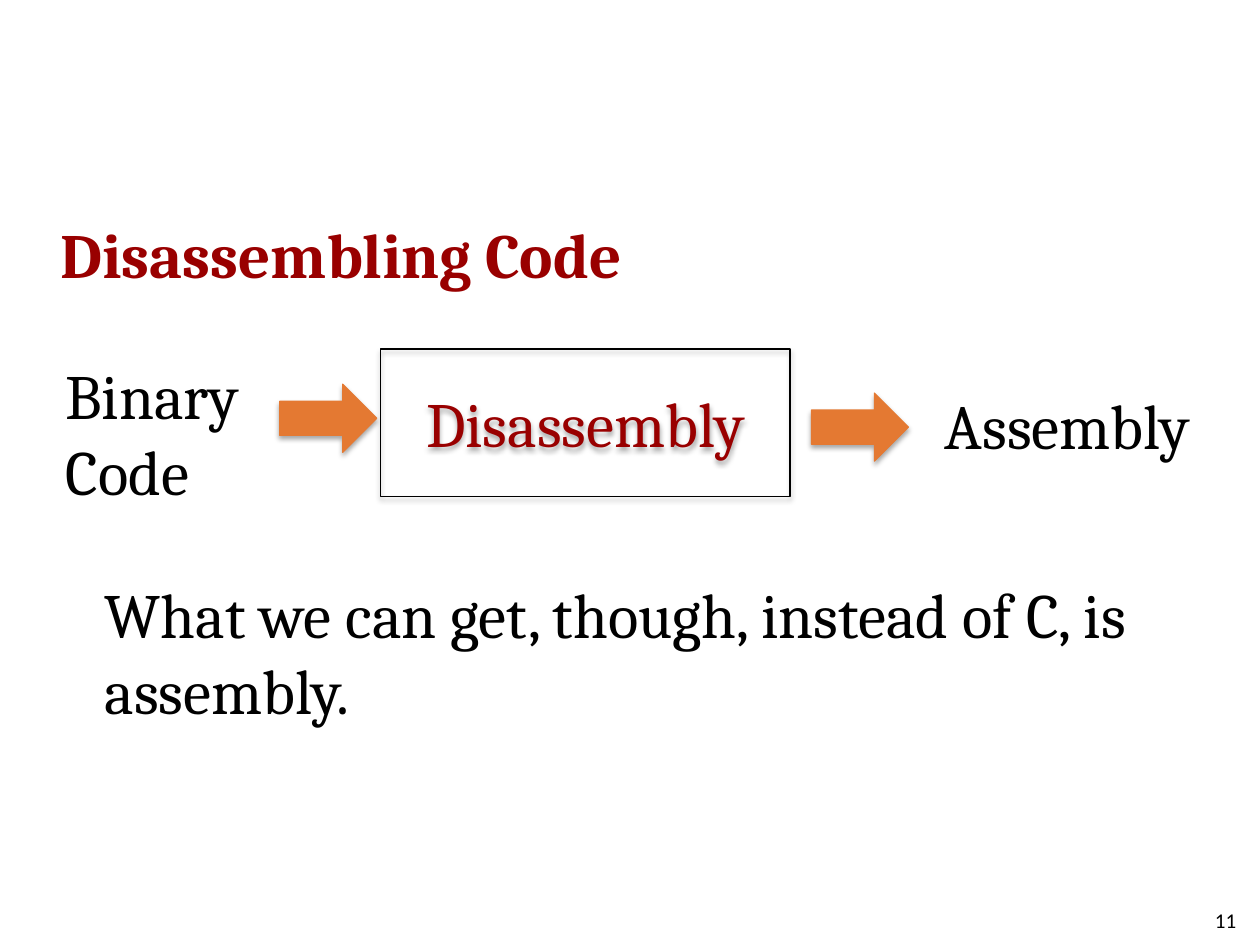
from lxml import etree
from pptx import Presentation, util as u
from pptx.dml.color import RGBColor
from pptx.enum import shapes, text
from pptx.oxml.ns import qn

COLUMNS, ROWS = 100, 75
WIDTH, HEIGHT = u.Inches(10), u.Inches(7.5)
RED, ORANGE, BLACK = "990000", "E47932", "000000"


def colour(hex_code):
    """Turn a hex string into a colour."""
    return RGBColor.from_string(hex_code)


def place(box):
    """Turn a box in grid columns and rows into slide lengths."""
    left, top, width, height = box
    return (int(left * WIDTH / COLUMNS), int(top * HEIGHT / ROWS),
            int(width * WIDTH / COLUMNS), int(height * HEIGHT / ROWS))


def inside(box, left, top, width, height):
    """Move a box from an outer box's corner to the slide's."""
    return box[0] + left, box[1] + top, width, height


def write(shape, words, size=36, font="Cambria", ink=BLACK, bold=False,
          align=text.PP_ALIGN.LEFT, anchor=text.MSO_ANCHOR.TOP, wrap=True):
    """Fill a shape with formatted text, one paragraph a line."""
    frame = shape.text_frame
    frame.text = words
    frame.word_wrap = wrap
    frame.auto_size = text.MSO_AUTO_SIZE.NONE
    frame.vertical_anchor = anchor
    for paragraph in frame.paragraphs:
        paragraph.alignment = align
        paragraph.space_before = u.Pt(0)
        paragraph.font.size = u.Pt(size)
        paragraph.font.name = font
        paragraph.font.bold = bold
        paragraph.font.color.rgb = colour(ink)


def add_label(slide, box, words, **look):
    """Add a text box."""
    write(slide.shapes.add_textbox(*place(box)), words, **look)


def fill_placeholder(placeholder, box, words, **look):
    """Move a placeholder and write in it without a bullet."""
    placeholder.left, placeholder.top, placeholder.width, placeholder.height = place(box)
    placeholder.text_frame.text = words
    properties = placeholder.text_frame.paragraphs[0]._p.get_or_add_pPr()
    properties.set("marL", "0")
    properties.set("indent", "0")
    etree.SubElement(properties, qn("a:buNone"))
    frame = placeholder.text_frame
    write_existing(frame, **look)


def write_existing(frame, ink=BLACK, bold=False):
    """Format the single paragraph of a placeholder."""
    frame.word_wrap = True
    frame.auto_size = text.MSO_AUTO_SIZE.NONE
    frame.vertical_anchor = text.MSO_ANCHOR.TOP
    paragraph = frame.paragraphs[0]
    paragraph.alignment = text.PP_ALIGN.LEFT
    paragraph.space_before = u.Pt(0)
    paragraph.font.size, paragraph.font.name = u.Pt(36), "Cambria"
    paragraph.font.bold = bold
    paragraph.font.color.rgb = colour(ink)


def add_block(slide, kind, box, line, fill=None):
    """Add a preset shape with a soft shadow below it."""
    block = slide.shapes.add_shape(kind, *place(box))
    if fill:
        block.fill.solid()
        block.fill.fore_color.rgb = colour(fill)
    else:
        block.fill.background()
    block.line.color.rgb = colour(line)
    block.line.width = u.Pt(0.75)
    block.shadow.inherit = False
    effects = block._element.spPr.find(qn("a:effectLst"))
    shadow = etree.SubElement(effects, qn("a:outerShdw"), blurRad=str(u.Pt(3.1)),
                              dist=str(u.Pt(1.8)), dir="5400000", rotWithShape="0")
    shade = etree.SubElement(shadow, qn("a:srgbClr"), val=BLACK)
    etree.SubElement(shade, qn("a:alpha"), val="35000")
    return block


def add_flow(slide, box):
    """Draw the path from binary code through disassembly to assembly."""
    disassembly = add_block(slide, shapes.MSO_SHAPE.RECTANGLE,
                            inside(box, 26, 0, 32.5, 11.7), BLACK)
    write(disassembly, "Disassembly", ink=RED, align=text.PP_ALIGN.CENTER,
          anchor=text.MSO_ANCHOR.MIDDLE)
    add_label(slide, inside(box, 0, 0.1, 16.5, 13.1), "Binary\nCode", wrap=False)
    add_label(slide, inside(box, 69.8, 2.5, 22.8, 7.1), "Assembly", wrap=False)
    for left, top in ((18, 2.8), (60.2, 3.5)):
        add_block(slide, shapes.MSO_SHAPE.RIGHT_ARROW,
                  inside(box, left, top, 7.7, 5.4), ORANGE, fill=ORANGE)


def main():
    """Build and save the slide."""
    deck = Presentation()
    deck.slide_width, deck.slide_height = WIDTH, HEIGHT
    slide = deck.slides.add_slide(deck.slide_layouts[1])
    title, body = slide.placeholders
    fill_placeholder(title, (3.8, 16.6, 48.4, 7.1), "Disassembling Code",
                     ink=RED, bold=True)
    fill_placeholder(body, (7.3, 45.2, 89, 13.1),
                     "What we can get, though, instead of C, is assembly.")
    add_flow(slide, (4.2, 27.7, 92.6, 13.2))
    add_label(slide, (75.8, 71, 23.3, 4), "11", size=12, font="Calibri",
              align=text.PP_ALIGN.RIGHT, anchor=text.MSO_ANCHOR.MIDDLE)
    deck.save("out.pptx")


if __name__ == "__main__":
    main()
